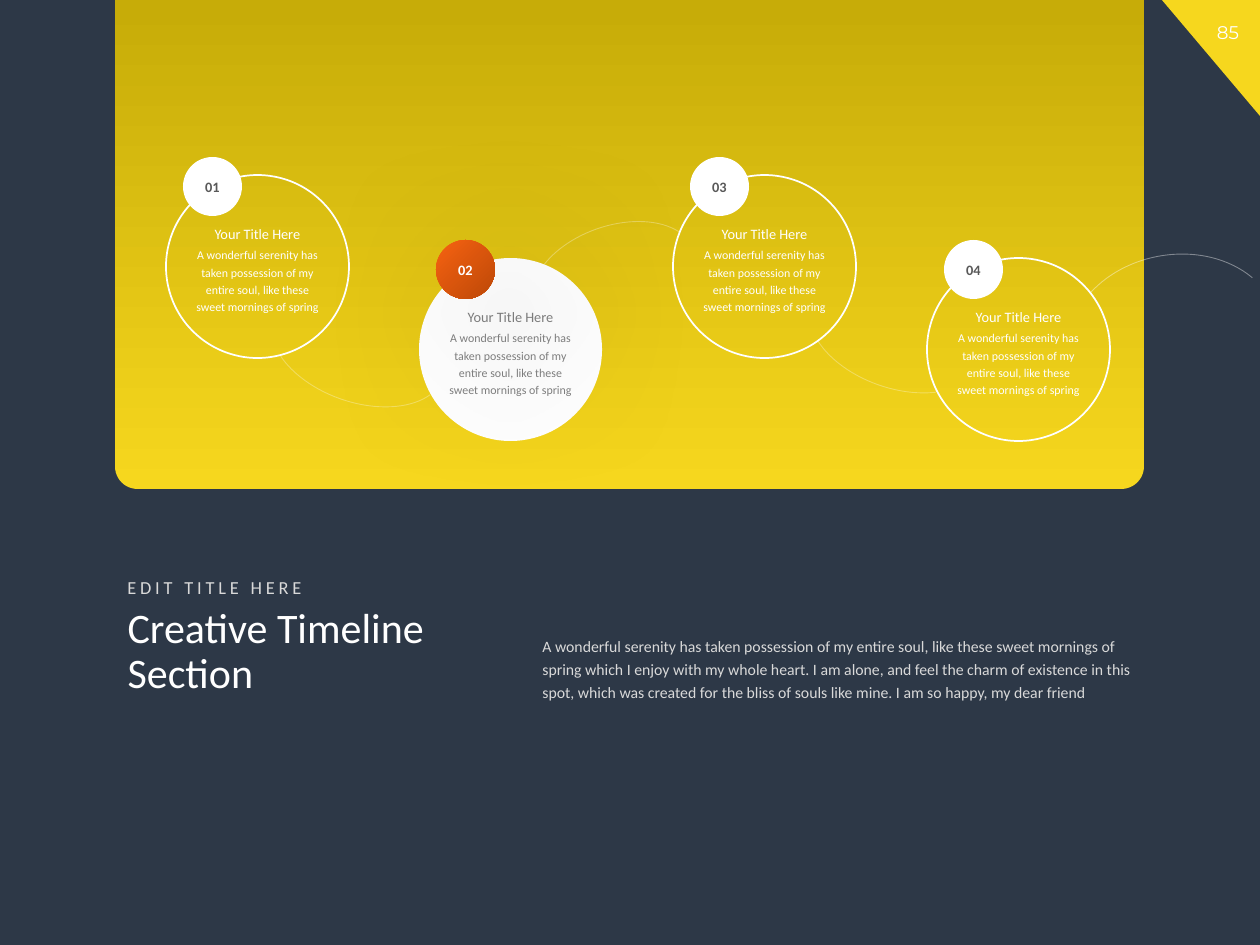
from lxml.etree import SubElement
from pptx import Presentation
from pptx.dml.color import RGBColor
from pptx.enum.shapes import MSO_SHAPE
from pptx.enum.text import MSO_ANCHOR, MSO_AUTO_SIZE, PP_ALIGN
from pptx.oxml.ns import qn
from pptx.util import Emu, Pt

SCALE = 914400 / 126
WHITE, NAVY, YELLOW = "FFFFFF", "2D3847", "F6D71E"
PALE, GREY, DARK = "D9D9D9", "808080", "595959"
LEAD = ("A wonderful serenity has taken possession of my entire soul, "
        "like these sweet mornings of spring")
STORY = LEAD + (" which I enjoy with my whole heart. I am alone, and feel the charm of "
                "existence in this spot, which was created for the bliss of souls like "
                "mine. I am so happy, my dear friend")


def px(*values):
    return [Emu(round(v * SCALE)) for v in values]


def rgb(code):
    return RGBColor.from_string(code)


class Deck:
    """Holds the presentation, the font and the current slide."""

    def __init__(self, font):
        self.font = font
        self.prs = Presentation()
        self.prs.slide_width, self.prs.slide_height = px(1260, 945)
        self.slide = self.prs.slides.add_slide(self.prs.slide_layouts[5])
        back = self.slide.background.fill
        back.solid()
        back.fore_color.rgb = rgb(NAVY)

    def put(self, frame, text, size, color, align=PP_ALIGN.LEFT,
            bold=False, lead=None, track=0, font=None):
        """Fill a text frame; track is letter spacing in points."""
        frame.word_wrap = True
        frame.auto_size = MSO_AUTO_SIZE.NONE
        par = frame.paragraphs[0]
        par.alignment = align
        if lead:
            par.line_spacing = lead
        run = par.add_run()
        run.text = text
        if track:
            run._r.get_or_add_rPr().set("spc", str(round(track * 100)))
        par.font.name = font or self.font
        par.font.size = Pt(size)
        par.font.bold = bold
        par.font.color.rgb = rgb(color)

    def title(self, box, text, size, color, lead):
        shape = self.slide.shapes.title
        shape.left, shape.top, shape.width, shape.height = px(*box)
        shape.text_frame.vertical_anchor = MSO_ANCHOR.TOP
        self.put(shape.text_frame, text, size, color, lead=lead)

    def text(self, box, text, size, color, **style):
        shape = self.slide.shapes.add_textbox(*px(*box))
        self.put(shape.text_frame, text, size, color, **style)

    def shape(self, kind, box, fill=None, line=None, width=1, flip="", adjust=()):
        """Fill is a hex colour, or (stops, clockwise angle) for a gradient."""
        shape = self.slide.shapes.add_shape(kind, *px(*box))
        shape.shadow.inherit = False
        for i, value in enumerate(adjust):
            shape.adjustments[i] = value
        for axis in flip:
            shape._element.spPr.xfrm.set("flip" + axis, "1")
        if fill is None:
            shape.fill.background()
        elif isinstance(fill, str):
            shape.fill.solid()
            shape.fill.fore_color.rgb = rgb(fill)
        else:
            stops, angle = fill
            shape.fill.gradient()
            shape.fill.gradient_angle = 360 - angle
            for stop, (place, color) in zip(shape.fill.gradient_stops, stops):
                stop.position = place
                stop.color.rgb = rgb(color)
        if line:
            shape.line.color.rgb = rgb(line)
            shape.line.width = Pt(width)
        else:
            shape.line.fill.background()
        return shape

    def arc(self, box, start, end, turn, alpha, flip=""):
        shape = self.shape(MSO_SHAPE.ARC, box, line=WHITE, width=0.5,
                           flip=flip, adjust=(start, end))
        shape.rotation = turn
        color = shape._element.spPr.find(qn("a:ln")).find(".//" + qn("a:srgbClr"))
        SubElement(color, qn("a:alpha"), val=str(alpha * 1000))

    def glow(self, shape, blur, dist, angle, alpha):
        """Cast a soft black shadow."""
        effects = shape._element.spPr.find(qn("a:effectLst"))
        shadow = SubElement(effects, qn("a:outerShdw"), blurRad=str(int(Pt(blur))),
                            dist=str(int(Pt(dist))), dir=str(angle * 60000),
                            algn="ctr", rotWithShape="0")
        color = SubElement(shadow, qn("a:srgbClr"), val="000000")
        SubElement(color, qn("a:alpha"), val=str(alpha * 1000))

    def badge(self, box, text, fill, color):
        shape = self.shape(MSO_SHAPE.OVAL, box, fill)
        frame = shape.text_frame
        frame.margin_left = frame.margin_right = 0
        frame.margin_top = frame.margin_bottom = 0
        frame.vertical_anchor = MSO_ANCHOR.MIDDLE
        self.put(frame, text, 8.2, color, PP_ALIGN.CENTER, bold=True)
        return shape

    def step(self, index, active):
        """Draw one timeline circle with its badge; odd ones sit lower."""
        x, y, size = 166 + 761 * index // 3, 175 + 83 * (index % 2), 183
        ink = GREY if active else WHITE
        self.shape(MSO_SHAPE.OVAL, (x, y, size, size),
                   fill=WHITE if active else None, line=None if active else WHITE)
        self.text((x, y + 44, size, 30), "Your Title Here", 8.2, ink,
                  align=PP_ALIGN.CENTER)
        self.text((x + 14, y + 64, 155, 82), LEAD, 6.8, ink,
                  align=PP_ALIGN.CENTER, lead=1.2)
        orange = ([(0.02, "F56211"), (1, "BD4808")], 45)
        badge = self.badge((x + 17, y - 18, 59, 59), f"{index + 1:02}",
                           orange if active else WHITE, WHITE if active else DARK)
        if active:
            self.glow(badge, 100, 35, 45, 40)


def main():
    deck = Deck("Calibri")
    deck.shape(MSO_SHAPE.RIGHT_TRIANGLE, (1162, 0, 98, 116), YELLOW, flip="HV")
    deck.text((1196, 15, 64, 35), "85", 10.5, WHITE,
              align=PP_ALIGN.CENTER, font="Montserrat")
    deck.shape(MSO_SHAPE.ROUND_2_SAME_RECTANGLE, (115, 0, 1029, 489),
               ([(0, YELLOW), (0.99, "C7AC08")], 90), flip="V", adjust=(0.046, 0))

    for index in range(4):
        deck.step(index, active=index == 1)

    deck.arc((268, 292, 181, 110), 123.32, 207.44, 19.5, 30, "V")
    deck.arc((529, 226, 170, 105), 126.45, 206.55, 340.6, 30)
    deck.arc((806, 278, 181, 110), 123.32, 193.87, 19.5, 30, "V")
    deck.arc((1067, 255, 213, 171), 132.35, 199.67, 348.8, 40)

    deck.text((115, 570, 231, 35), "EDIT TITLE HERE", 10.5, PALE, track=2.2)
    deck.title((115, 601, 359, 115), "Creative Timeline Section", 24, WHITE, 0.9)
    deck.text((530, 627, 614, 82), STORY, 9, PALE, lead=1.2)
    deck.prs.save("out.pptx")


if __name__ == "__main__":
    main()
